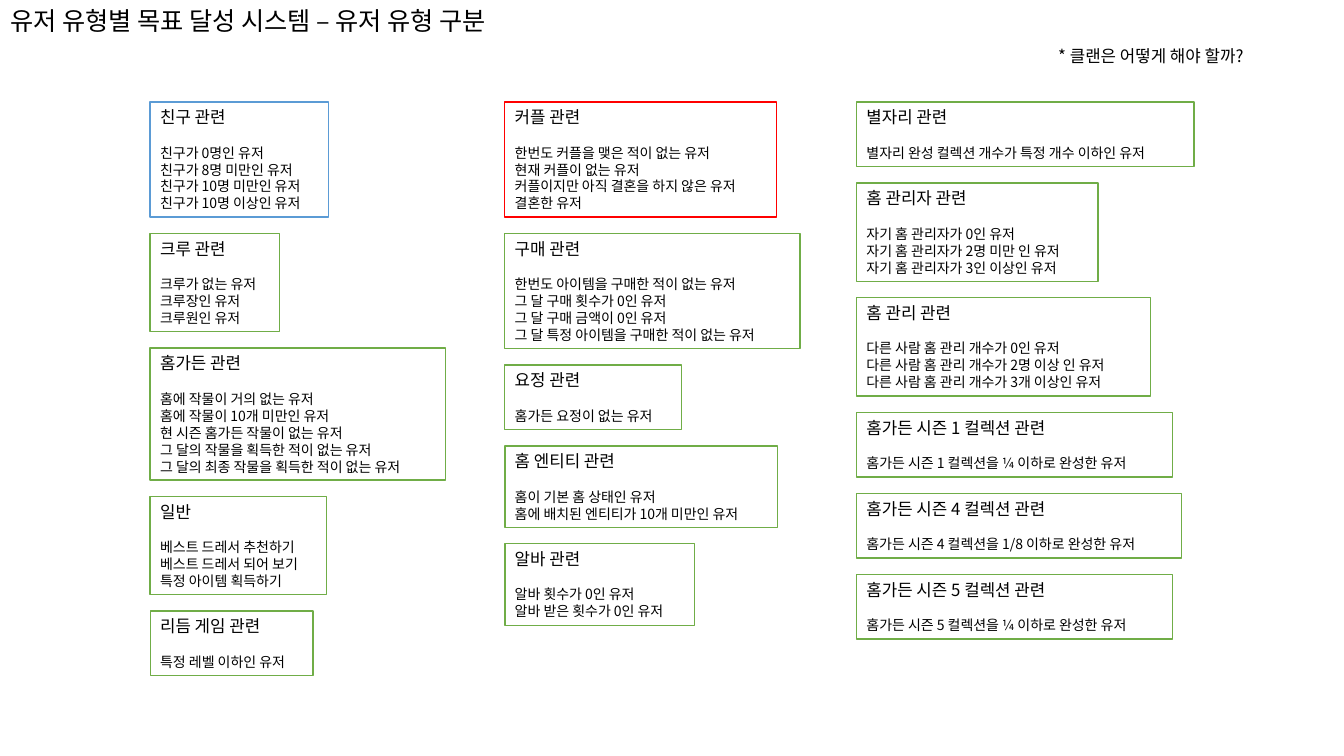
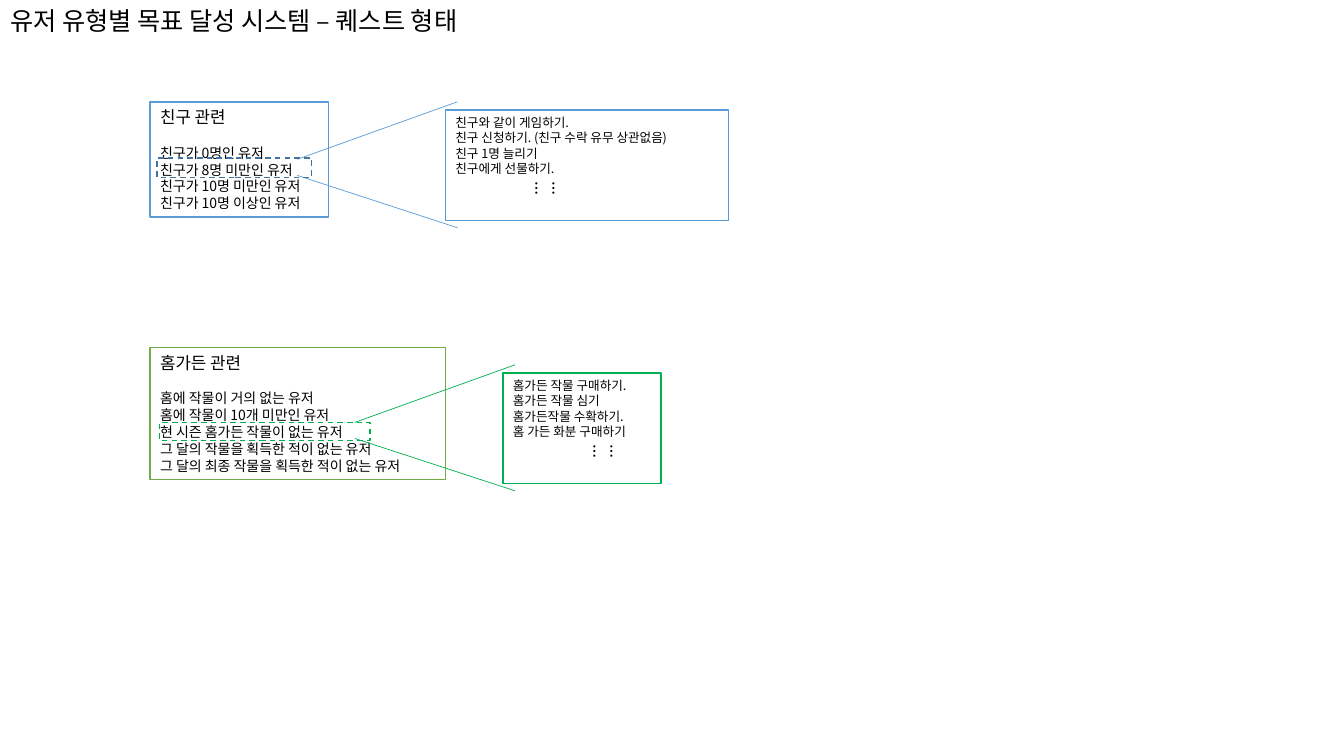
import pptx
import pptx.util
import pptx.dml.color
import pptx.enum.dml
import pptx.enum.shapes
import pptx.enum.text
import pptx.oxml.ns
from lxml import etree

Pt = pptx.util.Pt
qn = pptx.oxml.ns.qn
FONT = "Noto Sans CJK KR"
HUES = {
    "text": "000000",
    "white": "FFFFFF",
    "blue": "5B9BD5",
    "navy": "43739E",
    "red": "FF0000",
    "olive": "70AD47",
    "green": "00B050",
}
TOP, GAP = 72.8, 11.6
HEAD, ROW = 34.3, 12  # card height: HEAD plus ROW for each line

FRIEND = (127.4, "blue", "친구 관련", [
    "친구가 0명인 유저", "친구가 8명 미만인 유저",
    "친구가 10명 미만인 유저", "친구가 10명 이상인 유저"])
GARDEN = (211, "olive", "홈가든 관련", [
    "홈에 작물이 거의 없는 유저", "홈에 작물이 10개 미만인 유저",
    "현 시즌 홈가든 작물이 없는 유저", "그 달의 작물을 획득한 적이 없는 유저",
    "그 달의 최종 작물을 획득한 적이 없는 유저"])

STACKS = [
    (107.3, [
        FRIEND,
        (92.4, "olive", "크루 관련", ["크루가 없는 유저", "크루장인 유저", "크루원인 유저"]),
        GARDEN,
        (126.2, "olive", "일반", [
            "베스트 드레서 추천하기", "베스트 드레서 되어 보기", "특정 아이템 획득하기"]),
        (116.2, "olive", "리듬 게임 관련", ["특정 레벨 이하인 유저"]),
    ]),
    (360.6, [
        (194, "red", "커플 관련", [
            "한번도 커플을 맺은 적이 없는 유저", "현재 커플이 없는 유저",
            "커플이지만 아직 결혼을 하지 않은 유저", "결혼한 유저"]),
        (211, "olive", "구매 관련", [
            "한번도 아이템을 구매한 적이 없는 유저", "그 달 구매 횟수가 0인 유저",
            "그 달 구매 금액이 0인 유저", "그 달 특정 아이템을 구매한 적이 없는 유저"]),
        (126.2, "olive", "요정 관련", ["홈가든 요정이 없는 유저"]),
        (195, "olive", "홈 엔티티 관련", [
            "홈이 기본 홈 상태인 유저", "홈에 배치된 엔티티가 10개 미만인 유저"]),
        (135.4, "olive", "알바 관련", ["알바 횟수가 0인 유저", "알바 받은 횟수가 0인 유저"]),
    ]),
    (611.8, [
        (241.2, "olive", "별자리 관련", ["별자리 완성 컬렉션 개수가 특정 개수 이하인 유저"]),
        (172.6, "olive", "홈 관리자 관련", [
            "자기 홈 관리자가 0인 유저", "자기 홈 관리자가 2명 미만 인 유저",
            "자기 홈 관리자가 3인 이상인 유저"]),
        (210, "olive", "홈 관리 관련", [
            "다른 사람 홈 관리 개수가 0인 유저", "다른 사람 홈 관리 개수가 2명 이상 인 유저",
            "다른 사람 홈 관리 개수가 3개 이상인 유저"]),
        (225.6, "olive", "홈가든 시즌 1 컬렉션 관련", ["홈가든 시즌 1 컬렉션을 ¼ 이하로 완성한 유저"]),
        (232, "olive", "홈가든 시즌 4 컬렉션 관련", ["홈가든 시즌 4 컬렉션을 1/8 이하로 완성한 유저"]),
        (225.6, "olive", "홈가든 시즌 5 컬렉션 관련", ["홈가든 시즌 5 컬렉션을 ¼ 이하로 완성한 유저"]),
    ]),
]


def hue(name):
    return pptx.dml.color.RGBColor.from_string(HUES[name])


class Deck:
    def __init__(self):
        self.prs = pptx.Presentation()
        self.prs.slide_width, self.prs.slide_height = Pt(960), Pt(540)
        self.slide = None

    def page(self, title):
        self.slide = self.prs.slides.add_slide(self.prs.slide_layouts[5])
        head = self.slide.shapes.title
        head.left, head.top, head.width, head.height = Pt(0), Pt(0), Pt(960), Pt(28.8)
        self.label(head, [title], 18)

    def label(self, shape, lines, size, bold=False):
        frame = shape.text_frame
        frame.word_wrap = True
        frame.auto_size = pptx.enum.text.MSO_AUTO_SIZE.NONE
        frame.vertical_anchor = pptx.enum.text.MSO_ANCHOR.TOP
        frame.text = "\n".join(lines)
        for para in frame.paragraphs:
            self.style(para, size, bold)
        return frame

    def style(self, para, size, bold=False):
        para.alignment = pptx.enum.text.PP_ALIGN.LEFT
        para.line_spacing = Pt(round(size * 1.21, 1))
        font = para.font
        font.size, font.bold, font.name = Pt(size), bold, FONT
        font.color.rgb = hue("text")
        props = para._p.pPr.find(qn("a:defRPr"))
        if props.find(qn("a:ea")) is None:
            etree.SubElement(props, qn("a:ea"), typeface=FONT)

    def note(self, x, y, w, h, text, size, bold=False, turn=0):
        box = self.slide.shapes.add_textbox(Pt(x), Pt(y), Pt(w), Pt(h))
        box.rotation = turn
        self.label(box, [text], size, bold)

    def rect(self, x, y, w, h, line, fill=None, dash=False):
        box = self.slide.shapes.add_shape(
            pptx.enum.shapes.MSO_SHAPE.RECTANGLE, Pt(x), Pt(y), Pt(w), Pt(h))
        box.shadow.inherit = False
        if fill:
            box.fill.solid()
            box.fill.fore_color.rgb = hue(fill)
        else:
            box.fill.background()
        box.line.color.rgb = hue(line)
        box.line.width = Pt(1)
        if dash:
            box.line.dash_style = pptx.enum.dml.MSO_LINE.DASH
        return box

    def card(self, x, y, w, line, head, rows):
        """Draw a headed list and return its height."""
        high = HEAD + ROW * len(rows)
        box = self.rect(x, y, w, high, line, "white")
        frame = self.label(box, [head] + rows, 10)
        frame.margin_right = 0
        first = frame.paragraphs[0]
        self.style(first, 12)
        first.space_after = Pt(12)
        return high

    def stack(self, x, cards):
        y = TOP
        for card in cards:
            y += self.card(x, y, *card) + GAP

    def ray(self, x1, y1, x2, y2, color):
        line = self.slide.shapes.add_connector(
            pptx.enum.shapes.MSO_CONNECTOR.STRAIGHT, Pt(x1), Pt(y1), Pt(x2), Pt(y2))
        line.line.color.rgb = hue(color)
        line.line.width = Pt(0.5)
        etree.SubElement(line._element.spPr, qn("a:effectLst"))

    def quest(self, x, y, w, color, rows):
        """Draw a panel of quests with the two rays that open towards it."""
        for near, far in ((35.3, -5.8), (46.8, 84.2)):
            self.ray(x - 105.8, y + near, x + 8.6, y + far, color)
        self.label(self.rect(x, y, w, 79.2, color), rows, 9)
        self.note(x + 61.5, y + 50.6, 32.4, 19.4, "……", 10, True, 90)


def main():
    deck = Deck()
    deck.page("유저 유형별 목표 달성 시스템 – 유저 유형 구분")
    deck.note(748.8, 28.8, 193.7, 21.6, "* 클랜은 어떻게 해야 할까?", 12)
    for x, cards in STACKS:
        deck.stack(x, cards)

    deck.page("유저 유형별 목표 달성 시스템 – 퀘스트 형태")
    left = STACKS[0][0]
    deck.card(left, TOP, *FRIEND)
    deck.card(left, 248.4, *GARDEN)
    deck.quest(318.2, 78.5, 202.3, "blue", [
        "친구와 같이 게임하기.", "친구 신청하기. (친구 수락 유무 상관없음)",
        "친구 1명 늘리기", "친구에게 선물하기."])
    deck.rect(112.3, 113, 110.2, 13.7, "navy", dash=True)
    deck.quest(359.3, 266.4, 113, "green", [
        "홈가든 작물 구매하기.", "홈가든 작물 심기",
        "홈가든작물 수확하기.", "홈 가든 화분 구매하기"])
    deck.rect(113.8, 301.7, 150.5, 13, "green", dash=True)
    deck.prs.save("out.pptx")


if __name__ == "__main__":
    main()
